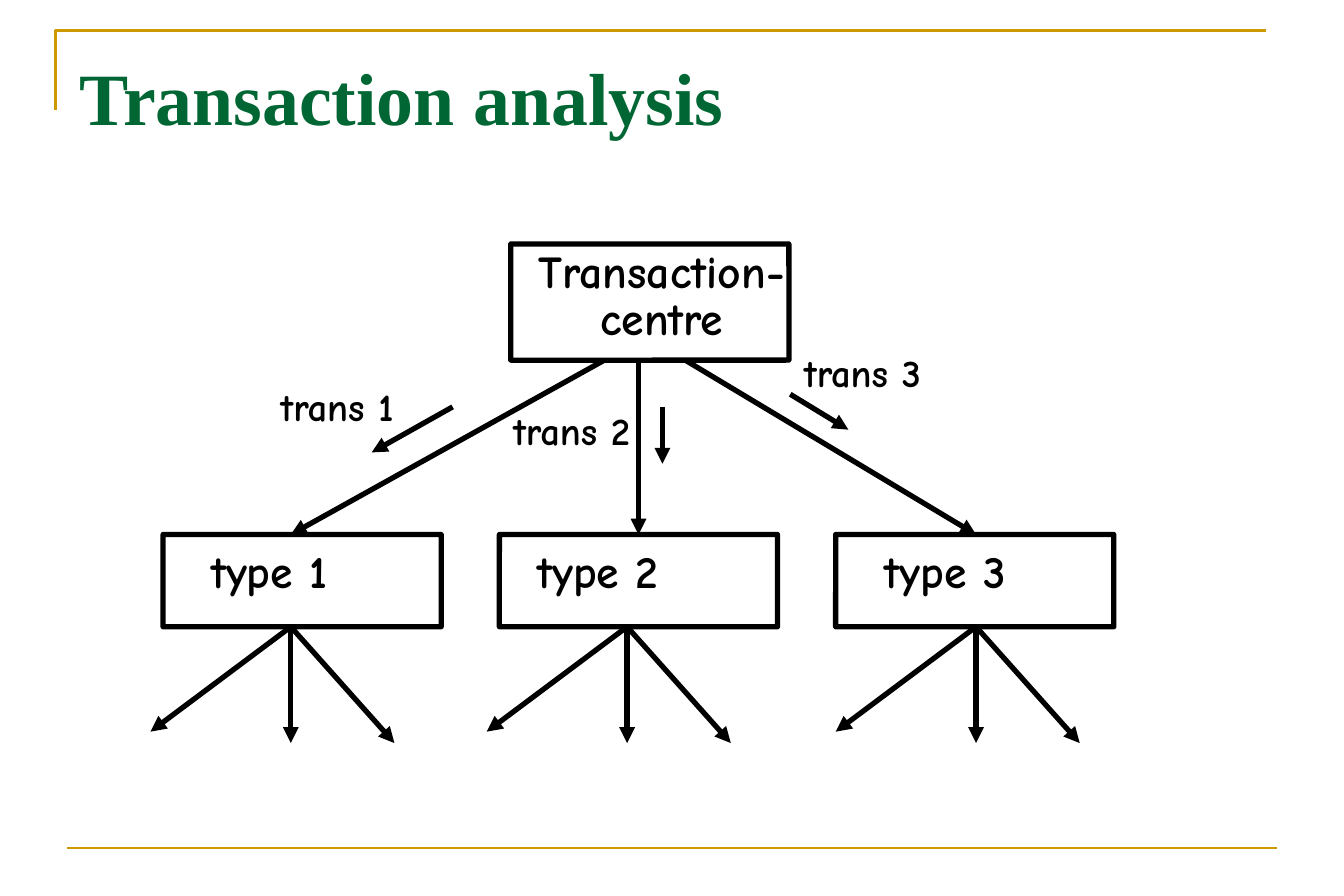
from lxml import etree
from pptx import Presentation
from pptx.dml import color
from pptx.enum import shapes, text
from pptx.oxml import ns
from pptx.util import Inches, Pt

BLACK, GOLD, GREEN = "000000", "CC9900", "006633"
HAND, SERIF = "Comic Neue", "Times New Roman"
TOP_BOX = (4.04, 1.93, 2.2, 0.92)
TYPE_ROW = (1.29, 4.23, 2.2, 0.73)
TYPE_STEP = 2.66
FAN_ENDS = [(-1.11, 0.83), (0, 0.92), (0.82, 0.92)]


def rgb(value):
    return color.RGBColor.from_string(value)


def inches(*lengths):
    return [Inches(length) for length in lengths]


def add_line(slide, start, end, line_color=BLACK, width=3, arrow=True):
    line = slide.shapes.add_connector(
        shapes.MSO_CONNECTOR.STRAIGHT, *inches(*start, *end))
    line.line.color.rgb = rgb(line_color)
    line.line.width = Pt(width)
    if arrow:
        head = etree.SubElement(line.line._get_or_add_ln(), ns.qn("a:tailEnd"))
        head.set("type", "triangle")
    etree.SubElement(line._element.spPr, ns.qn("a:effectLst"))


def add_outline(slide, box):
    outline = slide.shapes.add_shape(
        shapes.MSO_SHAPE.ROUNDED_RECTANGLE, *inches(*box))
    outline.adjustments[0] = 0.003
    outline.shadow.inherit = False
    outline.fill.background()
    outline.line.color.rgb = rgb(BLACK)
    outline.line.width = Pt(3)


def add_text(slide, box, words, size, font=HAND, font_color=BLACK,
             insets=(0.02, 0.06), spacing=0.85, align=text.PP_ALIGN.LEFT):
    frame = slide.shapes.add_textbox(*inches(*box)).text_frame
    side, top = inches(*insets)
    frame_format = {"word_wrap": True, "margin_left": side,
                    "margin_right": side, "margin_top": top,
                    "margin_bottom": 0,
                    "vertical_anchor": text.MSO_ANCHOR.TOP}
    for name, value in frame_format.items():
        setattr(frame, name, value)
    paragraph = frame.paragraphs[0]
    paragraph.alignment = align
    paragraph.line_spacing = spacing
    run = paragraph.add_run()
    run.text = words
    for name, value in {"name": font, "size": Pt(size), "bold": True}.items():
        setattr(run.font, name, value)
    run.font.color.rgb = rgb(font_color)


def add_frame(slide, box):
    """Corner rule at the top, straight rule at the bottom."""
    left, top, width, height = box
    builder = slide.shapes.build_freeform(*inches(left, top + 0.63))
    builder.add_line_segments(
        [inches(left, top), inches(left + width, top)], close=False)
    corner = builder.convert_to_shape()
    corner.shadow.inherit = False
    corner.fill.background()
    corner.line.color.rgb = rgb(GOLD)
    corner.line.width = Pt(1.5)
    base = top + height
    add_line(slide, (left + 0.09, base), (left + width + 0.09, base),
             GOLD, 1.5, arrow=False)


def add_title(slide, box):
    add_text(slide, box, "Transaction analysis", 42, SERIF, GREEN,
             insets=(0.1, 0.12), spacing=1.0)


def add_centre(slide, box):
    left, top, _, height = box
    add_outline(slide, box)
    add_text(slide, (left - 0.09, top, 2.57, height + 0.07),
             "Transaction- centre", 26, align=text.PP_ALIGN.CENTER)


def add_type(slide, box, words, text_shift, fan_shift):
    """Type box with its fan of three arrows."""
    left, top, width, height = box
    add_outline(slide, box)
    add_text(slide, (left + text_shift, top + 0.07, 1.5, 0.55), words, 26)
    x, y = left + fan_shift, top + height
    for dx, dy in FAN_ENDS:
        add_line(slide, (x, y), (x + dx, y + dy))


def add_branch(slide, start, end, words, label_shift, flow):
    """Arrow to a type, with its label and small flow arrow."""
    x, y = start
    add_line(slide, start, end)
    add_text(slide, (x + label_shift[0], y + label_shift[1], 1.19, 0.48),
             words, 22)
    flow_x, flow_y, flow_dx, flow_dy = flow
    tail = (x + flow_x, y + flow_y)
    add_line(slide, tail, (tail[0] + flow_dx, tail[1] + flow_dy))


def add_tree(slide):
    add_centre(slide, TOP_BOX)
    centre_left, centre_top, _, centre_height = TOP_BOX
    row_left, row_top, width, height = TYPE_ROW
    # Text shift, fan shift, branch start, branch end, label shift, flow arrow
    branches = [
        (0.36, 1.01, 0.74, 1.01, (-2.58, 0.18), (-1.2, 0.37, -0.64, 0.36)),
        (0.28, 1.01, 1.01, 1.1, (-1.01, 0.37), (0.19, 0.37, 0, 0.45)),
        (0.37, 1.11, 1.38, 1.11, (0.92, -0.09), (0.83, 0.27, 0.46, 0.28)),
    ]
    for i, (text_shift, fan_shift, start, end, label, flow) in enumerate(branches):
        left = row_left + i * TYPE_STEP
        add_type(slide, (left, row_top, width, height), f"type {i + 1}",
                 text_shift, fan_shift)
        add_branch(slide, (centre_left + start, centre_top + centre_height),
                   (left + end, row_top), f"trans {i + 1}", label, flow)


def main():
    deck = Presentation()
    deck.slide_width, deck.slide_height = inches(10.63, 7.09)
    slide = deck.slides.add_slide(deck.slide_layouts[6])
    add_frame(slide, (0.44, 0.24, 9.57, 6.47))
    add_title(slide, (0.53, 0.29, 9.57, 0.67))
    add_tree(slide)
    deck.save("out.pptx")


if __name__ == "__main__":
    main()
